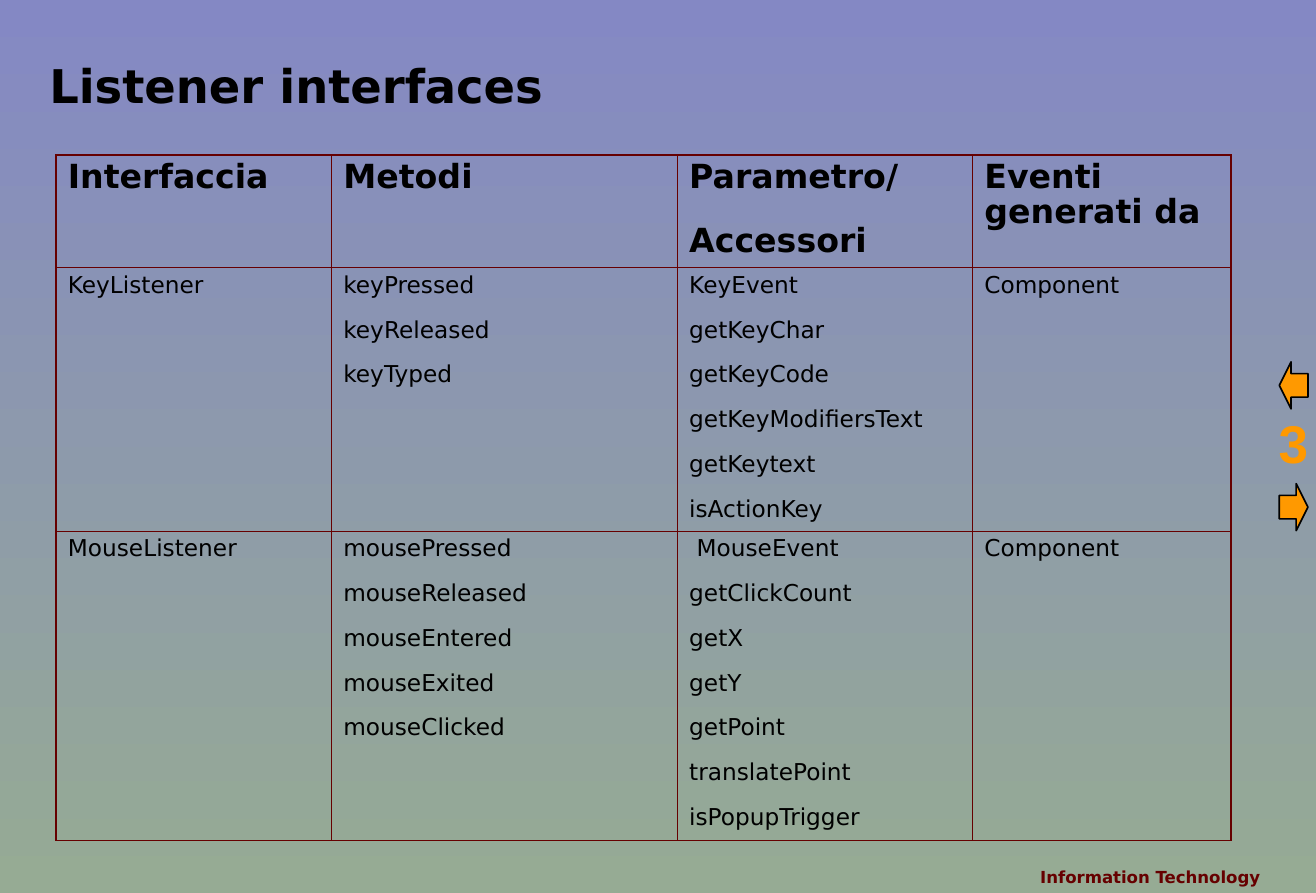
import pptx
import pptx.util
import pptx.dml.color
import pptx.enum.shapes
import pptx.enum.text
import pptx.oxml
import pptx.oxml.ns

Cm, Pt = pptx.util.Cm, pptx.util.Pt
ALIGN = pptx.enum.text.PP_ALIGN
ANCHOR = pptx.enum.text.MSO_ANCHOR
SHAPE = pptx.enum.shapes.MSO_SHAPE

COLORS = {"top": "8488C4", "base": "96AB94", "ink": "000000",
          "wine": "660000", "gold": "FF9900"}
FONT = "DejaVu Sans"
TITLE = "Listener interfaces"
FOOTER = "Information Technology"
NUMBER = "3"
ROWS = [
    (["Interfaccia"], ["Metodi"], ["Parametro/", "Accessori"],
     ["Eventi generati da"]),
    (["KeyListener"],
     ["keyPressed", "keyReleased", "keyTyped"],
     ["KeyEvent", "getKeyChar", "getKeyCode", "getKeyModifiersText",
      "getKeytext", "isActionKey"],
     ["Component"]),
    (["MouseListener"],
     ["mousePressed", "mouseReleased", "mouseEntered", "mouseExited",
      "mouseClicked"],
     [" MouseEvent", "getClickCount", "getX", "getY", "getPoint",
      "translatePoint", "isPopupTrigger"],
     ["Component"]),
]
WIDTHS = [5.86, 7.36, 6.28, 5.5]
HEIGHTS = [2.39, 5.61, 6.58]
ARROWS = [(SHAPE.LEFT_ARROW, 7.7), (SHAPE.RIGHT_ARROW, 10.29)]
THIN, THICK = 0.45, 1.08


def color(name):
    """Return the named colour."""
    return pptx.dml.color.RGBColor.from_string(COLORS[name])


def write(frame, lines, size, tint="ink", bold=True, align=ALIGN.LEFT,
          line=None, gap=0, font=FONT):
    """Fill a text frame with styled paragraphs."""
    frame.text = "\n".join(lines)
    for i, para in enumerate(frame.paragraphs):
        para.alignment = align
        if line:
            para.line_spacing = line
        para.space_before = Pt(gap if i else 0)
        for run in para.runs:
            run.font.name = font
            run.font.size = Pt(size)
            run.font.bold = bold
            run.font.color.rgb = color(tint)


def add_text(slide, box, text, size, pad=(0, 0), wrap=True,
             anchor=ANCHOR.TOP, **style):
    """Add a text box holding one line."""
    frame = slide.shapes.add_textbox(*map(Cm, box)).text_frame
    frame.word_wrap = wrap
    frame.vertical_anchor = anchor
    frame.margin_left = frame.margin_right = Cm(pad[0])
    frame.margin_top = frame.margin_bottom = Cm(pad[1])
    write(frame, [text], size, **style)


def add_edge(cell, side, width):
    """Draw one border of a cell."""
    space = pptx.oxml.ns.nsdecls("a")
    cell._tc.get_or_add_tcPr().append(pptx.oxml.parse_xml(
        f'<a:ln{side} {space} w="{Pt(width)}"><a:solidFill>'
        f'<a:srgbClr val="{COLORS["wine"]}"/></a:solidFill></a:ln{side}>'))


def add_grid(slide):
    """Add the table of listeners."""
    table = slide.shapes.add_table(
        len(ROWS), len(WIDTHS), Cm(1.19), Cm(3.3),
        Cm(sum(WIDTHS)), Cm(sum(HEIGHTS))).table
    table.first_row = table.horz_banding = False
    for col, width in zip(table.columns, WIDTHS):
        col.width = Cm(width)
    for r, row in enumerate(ROWS):
        table.rows[r].height = Cm(HEIGHTS[r])
        size, gap = (14, 12.2) if r else (20, 17.5)
        for c, lines in enumerate(row):
            cell = table.cell(r, c)
            outer = {"L": c == 0, "R": c == len(WIDTHS) - 1,
                     "T": r == 0, "B": r == len(ROWS) - 1}
            for side, edge in outer.items():
                add_edge(cell, side, THICK if edge else THIN)
            cell.fill.background()
            write(cell.text_frame, lines, size, bold=r == 0,
                  align=ALIGN.JUSTIFY, line=0.9, gap=gap)


def add_arrow(slide, kind, top):
    """Add one page arrow."""
    arrow = slide.shapes.add_shape(kind, Cm(27.22), Cm(top), Cm(0.61), Cm(1))
    arrow.shadow.inherit = False
    arrow.adjustments[0], arrow.adjustments[1] = 0.5, 0.41
    arrow.fill.solid()
    arrow.fill.fore_color.rgb = color("gold")
    arrow.line.color.rgb = color("ink")
    arrow.line.width = Pt(1)


def main():
    """Build and save the slide."""
    deck = pptx.Presentation()
    deck.slide_width, deck.slide_height = Cm(28), Cm(19)
    slide = deck.slides.add_slide(deck.slide_layouts[6])
    fill = slide.background.fill
    fill.gradient()
    fill.gradient_angle = 270
    for stop, name, place in zip(fill.gradient_stops, ("top", "base"), (0, 1)):
        stop.color.rgb = color(name)
        stop.position = place
    add_text(slide, (18, 18.31, 8.81, 0.69), FOOTER, 10, pad=(0, 0.13),
             anchor=ANCHOR.BOTTOM, tint="wine", align=ALIGN.RIGHT)
    add_text(slide, (1.05, 1.4, 26.2, 1.02), TITLE, 28, line=0.85)
    add_grid(slide)
    add_text(slide, (26.95, 8.61, 1.14, 1.63), NUMBER, 32, pad=(0.25, 0.13),
             wrap=False, tint="gold", align=ALIGN.CENTER, font="Arial")
    for kind, top in ARROWS:
        add_arrow(slide, kind, top)
    deck.save("out.pptx")


if __name__ == "__main__":
    main()
